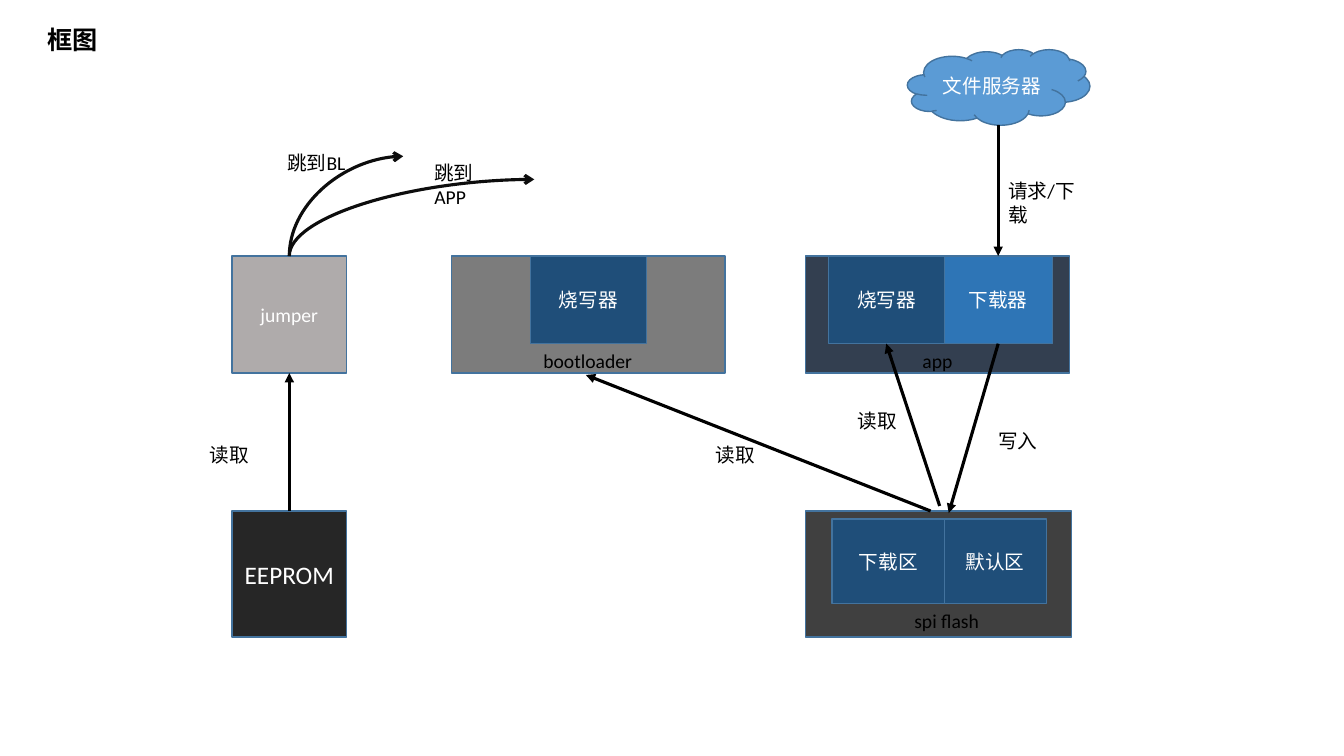
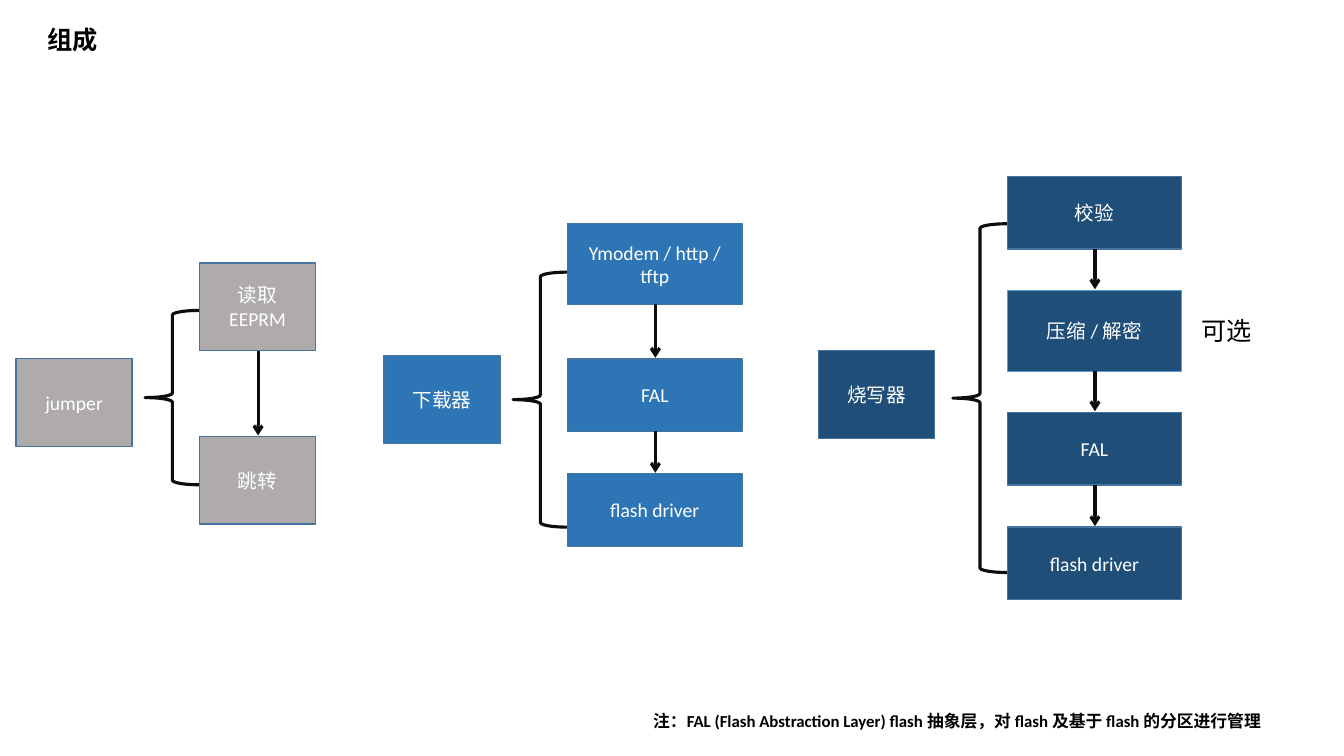
import pptx
import pptx.dml.color
import pptx.enum.shapes
import pptx.enum.text
import pptx.oxml
import pptx.oxml.ns
import pptx.util

RGBColor = pptx.dml.color.RGBColor
SHAPE = pptx.enum.shapes.MSO_SHAPE
CONNECTOR = pptx.enum.shapes.MSO_CONNECTOR
TEXT = pptx.enum.text

EMU_PER_PX = 9144
FONT = "Calibri"
BLACK = RGBColor(0x00, 0x00, 0x00)
INK = RGBColor(0x0D, 0x0D, 0x0D)
WHITE = RGBColor(0xFF, 0xFF, 0xFF)
BORDER = RGBColor(0x43, 0x73, 0x9E)
SKY = RGBColor(0x5B, 0x9B, 0xD5)
BLUE = RGBColor(0x2E, 0x75, 0xB6)
NAVY = RGBColor(0x1F, 0x4E, 0x79)
SLATE = RGBColor(0x33, 0x3F, 0x50)
SILVER = RGBColor(0xAF, 0xAB, 0xAB)
GREY = RGBColor(0x7C, 0x7C, 0x7C)
CHARCOAL = RGBColor(0x40, 0x40, 0x40)
COAL = RGBColor(0x26, 0x26, 0x26)

HEAD_W, HEAD_H = 115, 87
BRACE_W = 54


def px(value):
    return pptx.util.Emu(value * EMU_PER_PX)


def write(paragraph, text, size, color, bold=False):
    run = paragraph.add_run()
    run.text = text
    run.font.name = FONT
    run.font.size = pptx.util.Pt(size)
    run.font.bold = bold
    run.font.color.rgb = color


def add_block(slide, area, fill, text="", size=14, kind=SHAPE.RECTANGLE,
              border=BORDER, border_pt=1):
    block = slide.shapes.add_shape(kind, *map(px, area))
    block.shadow.inherit = False
    block.fill.solid()
    block.fill.fore_color.rgb = fill
    block.line.color.rgb = border
    block.line.width = pptx.util.Pt(border_pt)
    if text:
        frame = block.text_frame
        frame.word_wrap = True
        frame.vertical_anchor = TEXT.MSO_ANCHOR.MIDDLE
        frame.paragraphs[0].alignment = TEXT.PP_ALIGN.CENTER
        write(frame.paragraphs[0], text, size, WHITE)


def add_label(slide, area, text, size=14, bold=False, wrap=False):
    frame = slide.shapes.add_textbox(*map(px, area)).text_frame
    frame.word_wrap = wrap
    frame.auto_size = TEXT.MSO_AUTO_SIZE.SHAPE_TO_FIT_TEXT
    write(frame.paragraphs[0], text, size, BLACK, bold)


def add_title(slide, text):
    add_label(slide, (37, 19, 709, 40), text, 18, bold=True, wrap=True)


def add_link(slide, ends, color=BLACK, tip="triangle", kind=CONNECTOR.STRAIGHT,
             tip_end="tailEnd"):
    link = slide.shapes.add_connector(kind, *map(px, ends))
    link.line.color.rgb = color
    link.line.width = pptx.util.Pt(2.25)
    properties = link._element.spPr
    arrowhead = pptx.oxml.parse_xml(
        f'<a:{tip_end} {pptx.oxml.ns.nsdecls("a")} type="{tip}"/>')
    properties.find(pptx.oxml.ns.qn("a:ln")).append(arrowhead)
    properties.append(pptx.oxml.parse_xml(
        f'<a:effectLst {pptx.oxml.ns.nsdecls("a")}/>'))
    return link


def add_jump(slide, target_x, target_y, source_x, source_y):
    jump = add_link(slide, (target_x, target_y, source_x, source_y), INK,
                    "arrow", CONNECTOR.CURVE, "headEnd")
    geometry = jump._element.spPr.find(pptx.oxml.ns.qn("a:prstGeom"))
    geometry.set("prst", "curvedConnector2")


def add_brace(slide, area):
    brace = slide.shapes.add_shape(SHAPE.LEFT_BRACE, *map(px, area))
    brace.shadow.inherit = False
    brace.fill.background()
    brace.line.color.rgb = INK
    brace.line.width = pptx.util.Pt(2.25)


def add_breakdown(slide, fill, head, brace_span, left, width, steps, optional=""):
    name, head_x, head_y = head
    add_block(slide, (head_x, head_y, HEAD_W, HEAD_H), fill, name)
    brace_top, brace_height = brace_span
    add_brace(slide, (left - BRACE_W, brace_top, BRACE_W, brace_height))
    for text, top, height in steps:
        outline = (SKY, 0.5) if text == optional else (BORDER, 1)
        add_block(slide, (left, top, width, height), fill, text,
                  border=outline[0], border_pt=outline[1])
    center = left + width // 2 + 1
    for (_, top, height), (_, next_top, _) in zip(steps, steps[1:]):
        add_link(slide, (center, top + height, center, next_top - 1), INK, "arrow")


def build_diagram(slide):
    for area, fill in (((799, 254, 262, 116), SLATE),
                       ((448, 254, 271, 116), GREY),
                       ((799, 507, 264, 125), CHARCOAL)):
        add_block(slide, area, fill)
    add_block(slide, (230, 254, 114, 116), SILVER, "jumper")
    add_block(slide, (230, 507, 114, 125), COAL, "EEPROM", 18)
    for area, fill, text in (((936, 515, 102, 84), NAVY, "默认区"),
                             ((825, 515, 112, 84), NAVY, "下载区"),
                             ((526, 254, 115, 87), NAVY, "烧写器"),
                             ((936, 254, 108, 87), BLUE, "下载器"),
                             ((822, 254, 115, 87), NAVY, "烧写器")):
        add_block(slide, area, fill, text)
    add_block(slide, (900, 49, 181, 75), SKY, "文件服务器", kind=SHAPE.CLOUD)

    for left, top, width, text in ((980, 421, 59, "写入"),
                                   (198, 434, 59, "读取"),
                                   (700, 434, 59, "读取"),
                                   (841, 401, 59, "读取"),
                                   (529, 341, 108, "bootloader"),
                                   (905, 341, 50, "app"),
                                   (897, 599, 84, "spi flash")):
        add_label(slide, (left, top, width, 34), text)
    for left, top, width, text in ((990, 173, 105, "请求/下载"),
                                   (275, 145, 78, "跳到BL"),
                                   (421, 155, 90, "跳到APP")):
        add_label(slide, (left, top, width, 34), text, wrap=True)

    for ends in ((990, 124, 990, 254), (287, 507, 287, 370),
                 (990, 341, 941, 509), (932, 502, 879, 341),
                 (923, 507, 581, 372)):
        add_link(slide, ends)
    add_jump(slide, 400, 155, 287, 254)
    add_jump(slide, 530, 178, 287, 254)
    add_title(slide, "框图")


def build_composition(slide):
    add_breakdown(slide, SILVER, ("jumper", 16, 356), (308, 173), 198, 115,
                  [("读取EEPRM", 261, 87), ("跳转", 433, 87)])
    add_breakdown(slide, BLUE, ("下载器", 381, 353), (270, 253), 563, 173,
                  [("Ymodem / http / tftp", 222, 80), ("FAL", 356, 72),
                   ("flash driver", 470, 72)])
    add_breakdown(slide, NAVY, ("烧写器", 812, 348), (222, 346), 999, 173,
                  [("校验", 175, 72), ("压缩 / 解密", 288, 80),
                   ("FAL", 409, 72), ("flash driver", 523, 72)],
                  optional="压缩 / 解密")
    add_label(slide, (1182, 308, 70, 40), "可选", 18)
    add_label(slide, (638, 700, 623, 30),
              "注：FAL (Flash Abstraction Layer) flash 抽象层，对 flash 及基于 flash 的分区进行管理",
              12, bold=True, wrap=True)
    add_title(slide, "组成")


def main():
    deck = pptx.Presentation()
    deck.slide_width, deck.slide_height = px(1333), px(750)
    for build in (build_diagram, build_composition):
        build(deck.slides.add_slide(deck.slide_layouts[6]))
    deck.save("out.pptx")


if __name__ == "__main__":
    main()
